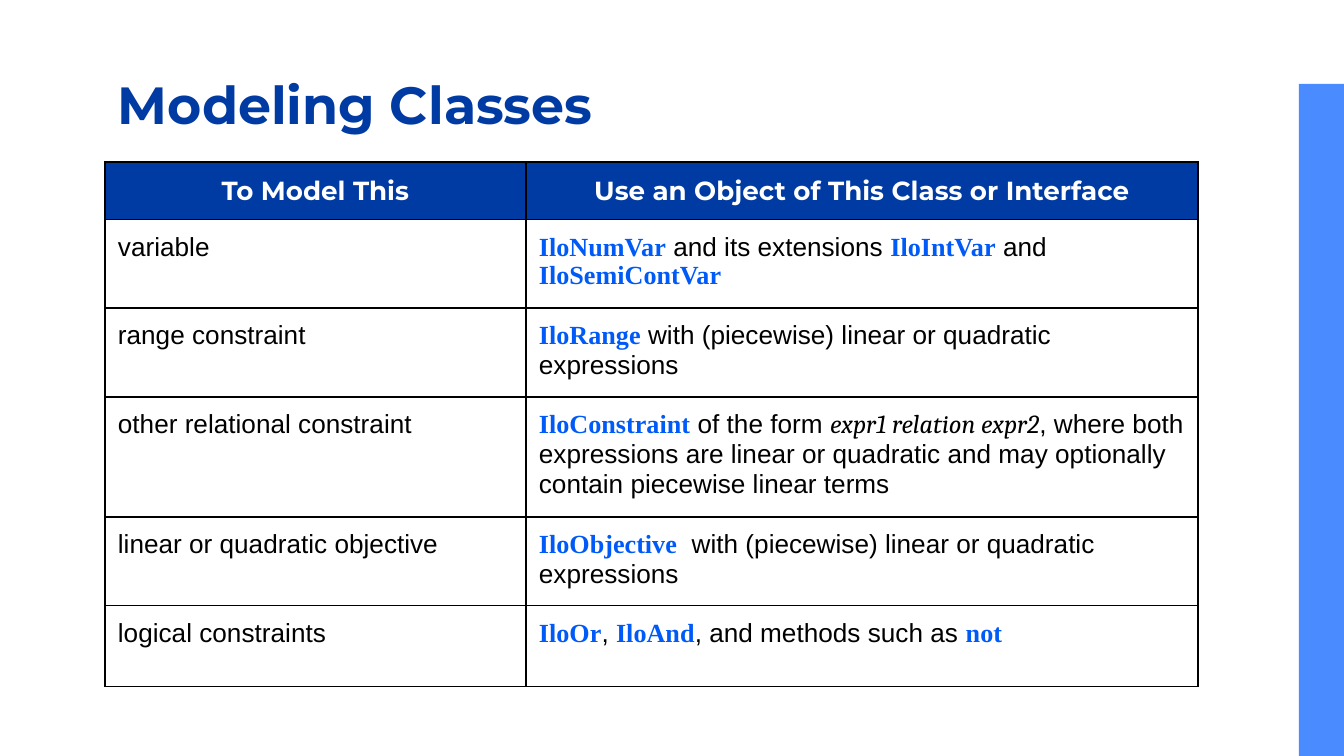
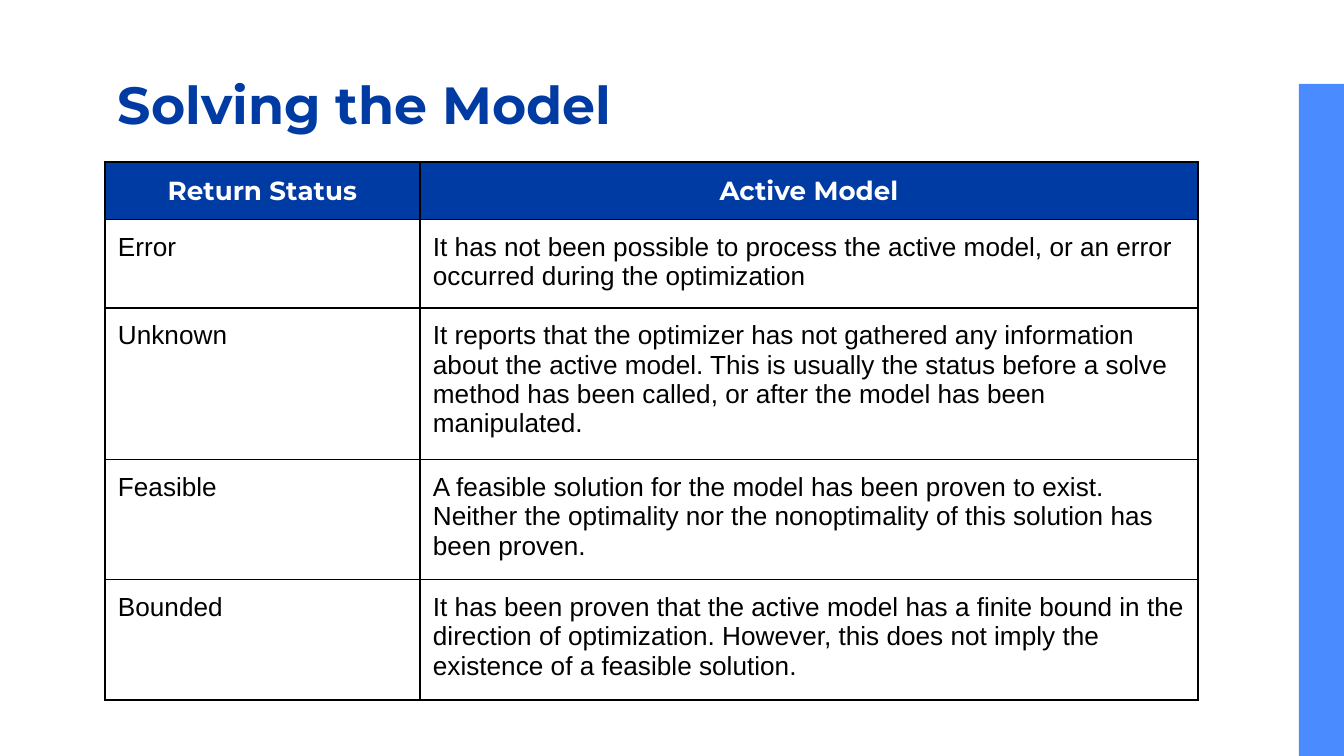
from lxml.etree import SubElement
from pptx import Presentation
from pptx.dml.color import RGBColor
from pptx.enum.shapes import MSO_SHAPE
from pptx.enum.text import MSO_ANCHOR, PP_ALIGN
from pptx.oxml.ns import qn
from pptx.util import Pt

NAVY = RGBColor(0x00, 0x3B, 0xA3)
SKY = RGBColor(0x4A, 0x8C, 0xFF)
BLUE = RGBColor(0x00, 0x5A, 0xF7)
BLACK = RGBColor(0, 0, 0)
WHITE = RGBColor(255, 255, 255)

PLAIN = dict(font="Arial", color=BLACK)
CODE = dict(font="Times New Roman", color=BLUE, bold=True)
MATH = dict(font="Cambria", color=BLACK, italic=True)
HEAD = dict(font="Montserrat", color=WHITE, bold=True)
TITLE = dict(font="Montserrat", color=NAVY, bold=True, size=28)

SLIDES = [
    dict(
        title="Modeling Classes",
        cols=(421, 672),
        rows=[
            ("To Model This", ["Use an Object of This Class or Interface"]),
            ("variable", [
                ("IloNumVar", CODE), " and its extensions ",
                ("IloIntVar", CODE), " and ", ("IloSemiContVar", CODE)]),
            ("range constraint", [
                ("IloRange", CODE),
                " with (piecewise) linear or quadratic expressions"]),
            ("other relational constraint", [
                ("IloConstraint", CODE), " of the form ",
                ("expr1 relation expr2", MATH),
                ", where both expressions are linear or quadratic and may "
                "optionally contain piecewise linear terms"]),
            ("linear or quadratic objective", [
                ("IloObjective", CODE),
                "  with (piecewise) linear or quadratic expressions"]),
            ("logical constraints", [
                ("IloOr", CODE), ", ", ("IloAnd", CODE),
                ", and methods such as ", ("not", CODE)]),
        ],
    ),
    dict(
        title="Solving the Model",
        cols=(315, 778),
        rows=[
            ("Return Status", ["Active Model"]),
            ("Error", [
                "It has not been possible to process the active model, or an "
                "error occurred during the optimization"]),
            ("Unknown", [
                "It reports that the optimizer has not gathered any "
                "information about the active model. This is usually the "
                "status before a solve method has been called, or after the "
                "model has been manipulated."]),
            ("Feasible", [
                "A feasible solution for the model has been proven to exist. "
                "Neither the optimality nor the nonoptimality of this "
                "solution has been proven."]),
            ("Bounded", [
                "It has been proven that the active model has a finite bound "
                "in the direction of optimization. However, this does not "
                "imply the existence of a feasible solution."]),
        ],
    ),
]

WIDE, HIGH = 1344, 756
LEFT, TOP = 105, 162
HEIGHTS = (50, 81, 87, 81, 58, 81)
INSET = 13
SCALE = 914400 / 134.4


def px(n):
    return round(n * SCALE)


def write(box, runs, base, align=PP_ALIGN.LEFT):
    for side in ("left", "right", "top", "bottom"):
        setattr(box, f"margin_{side}", px(INSET))
    frame = box.text_frame if hasattr(box, "text_frame") else box
    frame.word_wrap = True
    para = frame.paragraphs[0]
    para.alignment = align
    for part in runs:
        words, look = (part, base) if isinstance(part, str) else part
        run = para.add_run()
        run.text = words
        font = run.font
        font.name = look["font"]
        font.size = Pt(look.get("size", 14))
        font.bold = look.get("bold", False)
        font.italic = look.get("italic", False)
        font.color.rgb = look["color"]


def rule(cell):
    props = cell._tc.get_or_add_tcPr()
    for side in "LRTB":
        line = SubElement(props, qn(f"a:ln{side}"), w=str(Pt(1)))
        fill = SubElement(line, qn("a:solidFill"))
        SubElement(fill, qn("a:srgbClr"), val=str(BLACK))


def frame(slide, title):
    bar = slide.shapes.add_shape(
        MSO_SHAPE.RECTANGLE, px(1299), px(84), px(45), px(672))
    bar.shadow.inherit = False
    bar.fill.solid()
    bar.fill.fore_color.rgb = SKY
    bar.line.fill.background()
    box = slide.shapes.add_textbox(px(LEFT), px(56), px(1133), px(96))
    box.text_frame.vertical_anchor = MSO_ANCHOR.MIDDLE
    write(box.text_frame, [title], TITLE)


def grid(slide, cols, rows):
    tall = HEIGHTS[:len(rows)]
    table = slide.shapes.add_table(
        len(rows), len(cols), px(LEFT), px(TOP),
        px(sum(cols)), px(sum(tall))).table
    table.horz_banding = False
    for col, width in zip(table.columns, cols):
        col.width = px(width)
    for i, (name, runs) in enumerate(rows):
        table.rows[i].height = px(tall[i])
        for j, parts in enumerate(([name], runs)):
            cell = table.cell(i, j)
            rule(cell)
            if i == 0:
                cell.fill.solid()
                cell.fill.fore_color.rgb = NAVY
                cell.vertical_anchor = MSO_ANCHOR.MIDDLE
                write(cell, parts, HEAD, PP_ALIGN.CENTER)
            else:
                cell.fill.background()
                write(cell, parts, PLAIN)


def main():
    deck = Presentation()
    deck.slide_width, deck.slide_height = px(WIDE), px(HIGH)
    for page in SLIDES:
        slide = deck.slides.add_slide(deck.slide_layouts[6])
        frame(slide, page["title"])
        grid(slide, page["cols"], page["rows"])
    deck.save("out.pptx")


if __name__ == "__main__":
    main()
